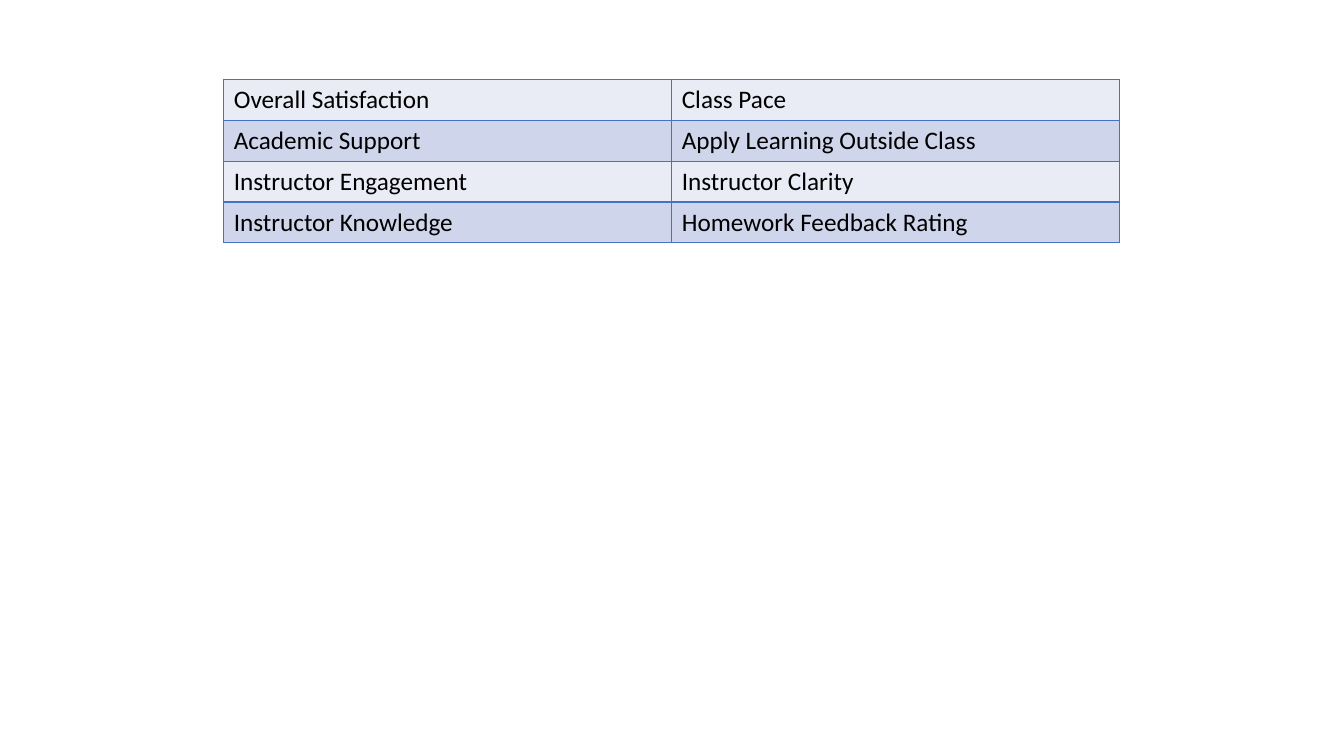
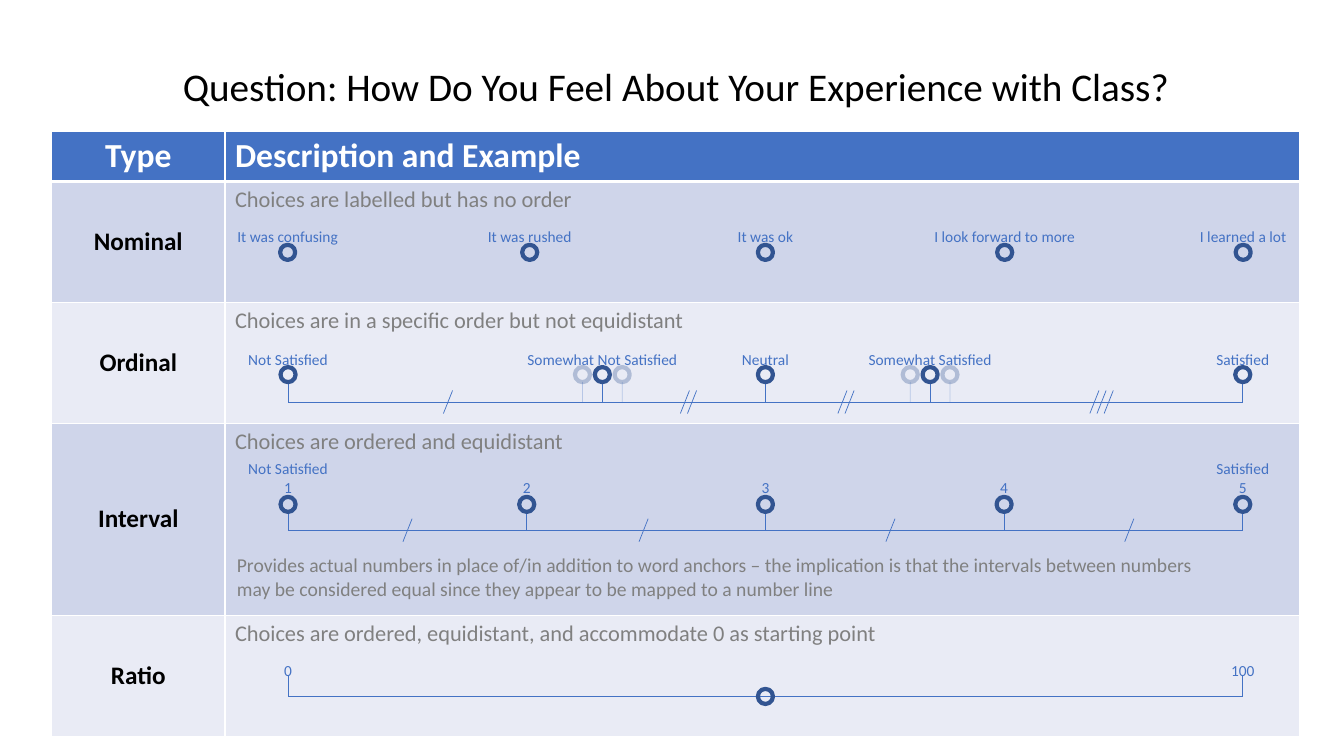
from lxml import etree
from pptx import Presentation
from pptx.dml.color import RGBColor
from pptx.enum.shapes import MSO_CONNECTOR, MSO_SHAPE
from pptx.enum.text import MSO_ANCHOR, MSO_AUTO_SIZE, PP_ALIGN
from pptx.oxml.ns import qn
from pptx.util import Cm, Pt

ELLIPSE = MSO_SHAPE.OVAL
STRAIGHT = MSO_CONNECTOR.STRAIGHT
TOP, MIDDLE, BOTTOM = MSO_ANCHOR.TOP, MSO_ANCHOR.MIDDLE, MSO_ANCHOR.BOTTOM
LEFT, CENTER = PP_ALIGN.LEFT, PP_ALIGN.CENTER
GROW = MSO_AUTO_SIZE.SHAPE_TO_FIT_TEXT

FONT = "Calibri"
COLORS = {
    "accent": "4472C4",
    "ring": "325491",
    "ghost": "2F528F",
    "dark_band": "CFD5EA",
    "light_band": "E9EBF5",
    "black": "000000",
    "white": "FFFFFF",
    "grey": "808080",
}

# Scale geometry in cm
SCALE_LEFT, SCALE_RIGHT = 7.26, 31.32
SCALE_MIDDLE = (SCALE_LEFT + SCALE_RIGHT) / 2
EVEN_STOPS = [SCALE_LEFT + i * (SCALE_RIGHT - SCALE_LEFT) / 4 for i in range(5)]
MARKER_SIZE = 0.38
STEM_HEIGHT = 0.51
SLASH_WIDTH, SLASH_HEIGHT, SLASH_GAP = 0.23, 0.58, 0.18
LABEL_WIDTH, LABEL_LINE, LABEL_PADDING = 3.76, 0.46, 0.27
GHOST_OFFSET = 0.5
GHOST_ALPHA = 30

SATISFACTION_AREAS = [
    ("Overall Satisfaction", "Class Pace"),
    ("Academic Support", "Apply Learning Outside Class"),
    ("Instructor Engagement", "Instructor Clarity"),
    ("Instructor Knowledge", "Homework Feedback Rating"),
]
SCALE_TYPES = [
    ("Type", "Description and Example"),
    ("Nominal", "Choices are labelled but has no order"),
    ("Ordinal", "Choices are in a specific order but not equidistant"),
    ("Interval", "Choices are ordered and equidistant"),
    ("Ratio", "Choices are ordered, equidistant, and accommodate 0 as starting point"),
]


def rgb(name):
    return RGBColor.from_string(COLORS[name])


def style_text(paragraph, size, color, bold=False, align=LEFT):
    paragraph.alignment = align
    font = paragraph.font
    font.name, font.size, font.bold = FONT, Pt(size), bold
    font.color.rgb = rgb(color)


def style_line(shape, color, width, alpha=None):
    shape.line.color.rgb = rgb(color)
    shape.line.width = Pt(width)
    if alpha is not None:
        for clr in shape.element.spPr.iter(qn("a:srgbClr")):
            etree.SubElement(clr, qn("a:alpha"), val=str(alpha * 1000))


# Text, lines and markers
def add_text(slide, text, left, top, width, height, size, color,
             align=LEFT, anchor=TOP):
    box = slide.shapes.add_textbox(Cm(left), Cm(top), Cm(width), Cm(height))
    frame = box.text_frame
    frame.text = text
    frame.word_wrap = True
    frame.auto_size = GROW
    frame.vertical_anchor = anchor
    for paragraph in frame.paragraphs:
        style_text(paragraph, size, color, align=align)


def add_line(slide, x1, y1, x2, y2, alpha=None):
    line = slide.shapes.add_connector(STRAIGHT, Cm(x1), Cm(y1), Cm(x2), Cm(y2))
    style_line(line, "accent", 0.5, alpha)
    etree.SubElement(line.element.spPr, qn("a:effectLst"))


def add_stem(slide, x, axis_y, alpha=None):
    add_line(slide, x, axis_y - STEM_HEIGHT, x, axis_y, alpha)


def add_marker(slide, x, y, color="ring", alpha=None):
    marker = slide.shapes.add_shape(
        ELLIPSE, Cm(x - MARKER_SIZE / 2), Cm(y - MARKER_SIZE / 2),
        Cm(MARKER_SIZE), Cm(MARKER_SIZE))
    marker.shadow.inherit = False
    marker.fill.background()
    style_line(marker, color, 3, alpha)


# Parts of a rating scale
def add_labels(slide, stops, labels, bottom, widths=None):
    widths = widths or {}
    for x, label in zip(stops, labels):
        width = widths.get(label, LABEL_WIDTH)
        height = LABEL_PADDING + LABEL_LINE * len(label.split("\n"))
        add_text(slide, label, x - width / 2, bottom - height, width, height,
                 11, "accent", CENTER, BOTTOM)


def add_axis(slide, stops, axis_y):
    add_line(slide, SCALE_LEFT, axis_y, SCALE_RIGHT, axis_y)
    for x in stops:
        add_stem(slide, x, axis_y)


def add_markers(slide, stops, y):
    for x in stops:
        add_marker(slide, x, y)


def add_slashes(slide, x, axis_y, count=1):
    dx, dy = SLASH_WIDTH / 2, SLASH_HEIGHT / 2
    for i in range(count):
        center = x + (i - (count - 1) / 2) * SLASH_GAP
        add_line(slide, center + dx, axis_y - dy, center - dx, axis_y + dy)


def add_ghosts(slide, x, marker_y, axis_y):
    for ghost_x in (x - GHOST_OFFSET, x + GHOST_OFFSET):
        add_stem(slide, ghost_x, axis_y, GHOST_ALPHA)
        add_marker(slide, ghost_x, marker_y, "ghost", GHOST_ALPHA)


# Tables
def style_cell(cell, fill, border, top=1, bottom=1):
    properties = cell._tc.get_or_add_tcPr()
    for side, width in (("L", 1), ("R", 1), ("T", top), ("B", bottom)):
        line = etree.SubElement(properties, qn(f"a:ln{side}"), w=str(Pt(width)))
        solid = etree.SubElement(line, qn("a:solidFill"))
        etree.SubElement(solid, qn("a:srgbClr"), val=COLORS[border])
    cell.fill.solid()
    cell.fill.fore_color.rgb = rgb(fill)


def add_table(slide, rows, left, top, widths, heights, has_header):
    table = slide.shapes.add_table(
        len(rows), len(widths), Cm(left), Cm(top),
        Cm(sum(widths)), Cm(sum(heights))).table
    table.first_row = has_header
    table.horz_banding = False
    for column, width in zip(table.columns, widths):
        column.width = Cm(width)
    for r, (row, height) in enumerate(zip(rows, heights)):
        table.rows[r].height = Cm(height)
        for c, text in enumerate(row):
            table.cell(r, c).text = text
    return table


def band(row):
    return "dark_band" if row % 2 else "light_band"


# Slides
def build_areas_slide(slide):
    table = add_table(slide, SATISFACTION_AREAS, 5.64, 2, [11.29] * 2,
                      [1.03] * len(SATISFACTION_AREAS), False)
    for r in range(len(SATISFACTION_AREAS)):
        for c in range(2):
            cell = table.cell(r, c)
            style_cell(cell, band(r), "accent")
            style_text(cell.text_frame.paragraphs[0], 18, "black")


def build_type_table(slide):
    table = add_table(slide, SCALE_TYPES, 1.3, 3.3, [4.37, 27.08],
                      [1.27, 3.05, 3.05, 4.83, 3.05], True)
    for r in range(len(SCALE_TYPES)):
        for c, align in enumerate((CENTER, LEFT)):
            cell = table.cell(r, c)
            paragraph = cell.text_frame.paragraphs[0]
            is_header, is_type = r == 0, c == 0
            style_cell(cell, "accent" if is_header else band(r), "white",
                       top=3 if r == 1 else 1, bottom=3 if is_header else 1)
            if is_header or is_type:
                cell.vertical_anchor = MIDDLE
            if is_header:
                style_text(paragraph, 24, "white", True, align)
            elif is_type:
                style_text(paragraph, 18, "black", True, align)
            else:
                style_text(paragraph, 16, "grey", False, align)


def build_nominal(slide):
    stops = [7.25, 13.35, 19.29, 25.32, 31.33]
    labels = ["It was confusing", "It was rushed", "It was ok",
              "I look forward to more", "I learned a lot"]
    add_labels(slide, stops, labels, 6.32, {"I look forward to more": 4.88})
    add_markers(slide, stops, 6.36)


def build_ordinal(slide):
    axis_y, marker_y = 10.13, 9.44
    stops = [SCALE_LEFT, 15.18, SCALE_MIDDLE, 23.44, SCALE_RIGHT]
    labels = ["Not Satisfied", "Somewhat Not Satisfied", "Neutral",
              "Somewhat Satisfied", "Satisfied"]
    add_axis(slide, stops, axis_y)
    add_labels(slide, stops, labels, 9.42,
               {"Somewhat Not Satisfied": 4.95, "Somewhat Satisfied": 4.34})
    add_markers(slide, stops, marker_y)
    for x, count in ((11.29, 1), (17.35, 2), (21.32, 2), (27.76, 3)):
        add_slashes(slide, x, axis_y, count)
    for x in (stops[1], stops[3]):
        add_ghosts(slide, x, marker_y, axis_y)


def build_interval(slide):
    axis_y = 13.36
    labels = ["Not Satisfied\n1", "2", "3", "4", "Satisfied\n5"]
    add_axis(slide, EVEN_STOPS, axis_y)
    add_labels(slide, EVEN_STOPS, labels, 12.63)
    add_markers(slide, EVEN_STOPS, 12.71)
    for x in (10.27, 16.22, 22.44, 28.46):
        add_slashes(slide, x, axis_y)
    add_text(slide, "Provides actual numbers in place of/in addition to word "
             "anchors – the implication is that the intervals between numbers "
             "may be considered equal since they appear to be mapped to a "
             "number line", 5.72, 13.82, 25.4, 1.45, 14, "grey")


def build_ratio(slide):
    axis_y = 17.55
    ends = [SCALE_LEFT, SCALE_RIGHT]
    add_axis(slide, ends, axis_y)
    add_labels(slide, ends, ["0", "100"], 17.25)
    add_marker(slide, SCALE_MIDDLE, axis_y)


def build_scales_slide(slide):
    add_text(slide, "Question: How Do You Feel About Your Experience with Class?",
             1.5, 1.45, 31.06, 1.45, 28, "black", CENTER)
    build_type_table(slide)
    build_nominal(slide)
    build_ordinal(slide)
    build_interval(slide)
    build_ratio(slide)


def main():
    deck = Presentation()
    deck.slide_width, deck.slide_height = Cm(33.87), Cm(19.05)
    blank = deck.slide_layouts[6]
    for build in (build_areas_slide, build_scales_slide):
        build(deck.slides.add_slide(blank))
    deck.save("out.pptx")


if __name__ == "__main__":
    main()
